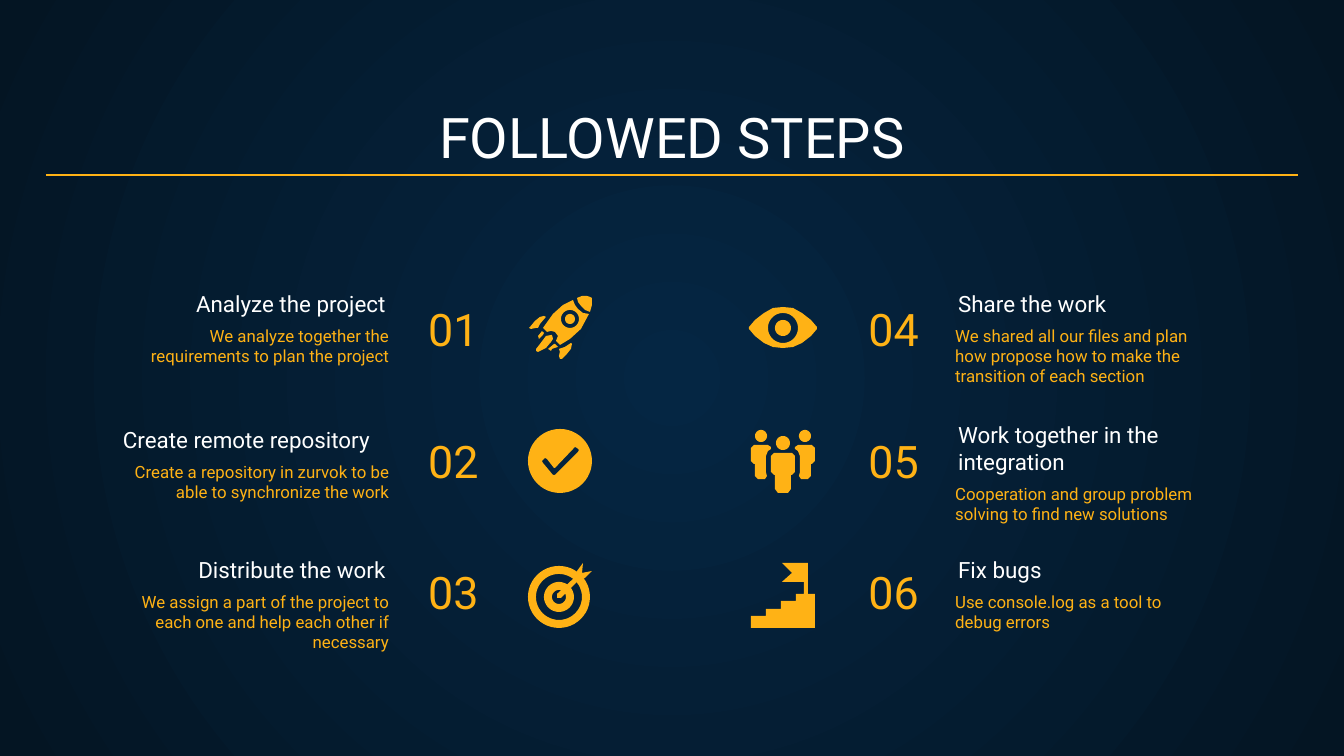
"""Build the "Followed steps" slide: six numbered steps with icons."""
from dataclasses import dataclass
from math import cos, pi, sin
from typing import NamedTuple

from pptx import Presentation
from pptx.dml.color import RGBColor
from pptx.enum.shapes import MSO_CONNECTOR as Connector
from pptx.enum.text import MSO_ANCHOR as Anchor, PP_ALIGN as Align
from pptx.oxml import parse_xml
from pptx.oxml.ns import nsdecls, qn
from pptx.slide import Slide
from pptx.util import Emu, Inches, Pt

EMU_PER_PX = 9144000 / 1344
Points = list[tuple[float, float]]


@dataclass(frozen=True)
class Theme:
    font: str = "Roboto"
    white: RGBColor = RGBColor.from_string("FFFFFF")
    accent: RGBColor = RGBColor.from_string("FFB215")
    center: RGBColor = RGBColor.from_string("052643")
    edge: RGBColor = RGBColor.from_string("041523")
    title: float = 30
    number: float = 24
    heading: float = 12
    body: float = 9
    rule: float = 0.75


class Box(NamedTuple):
    left: int
    top: int
    width: int
    height: int


class Column(NamedTuple):
    number_left: int
    heading_left: int
    body_left: int
    body_width: int
    number_align: Align
    text_align: Align


class Step(NamedTuple):
    column: Column
    row: int
    number: str
    heading: str
    body: str
    body_top: int
    heading_align: Align | None = None


THEME = Theme()
LEFT = Column(415, 94, 106, 296, Align.LEFT, Align.RIGHT)
RIGHT = Column(759, 945, 942, 278, Align.RIGHT, Align.LEFT)
STEPS = [
    Step(LEFT, 0, "01", "Analyze the project",
         "We analyze together the requirements to plan the project", 312),
    Step(LEFT, 1, "02", "Create remote repository",
         "Create a repository in zurvok to be able to synchronize the work", 448, Align.CENTER),
    Step(LEFT, 2, "03", "Distribute the work",
         "We assign a part of the project to each one and help each other if necessary", 578),
    Step(RIGHT, 0, "04", "Share the work",
         "We shared all our files and plan how propose how to make the transition of each section", 312),
    Step(RIGHT, 1, "05", "Work together in the integration",
         "Cooperation and group problem solving to find new solutions", 470),
    Step(RIGHT, 2, "06", "Fix bugs", "Use console.log as a tool to debug errors", 578),
]


def px(value: float) -> Emu:
    """Turn px into EMU."""
    return Emu(round(value * EMU_PER_PX))


def circle(x: int, y: int, radius: int) -> Points:
    """Return the outline of a circle."""
    return [(x + radius * cos(k * pi / 24), y + radius * sin(k * pi / 24)) for k in range(48)]


def mirror(points: Points, axis: int = 783) -> Points:
    """Reflect points across a vertical axis, reversing their order."""
    return [(2 * axis - x, y) for x, y in reversed(points)]


EYE_HALF = [(783, 307), (773, 308), (764, 313), (755, 320), (749, 327),
            (749, 329), (755, 336), (764, 343), (773, 347), (783, 348)]
SIDE_BODY = [(754, 445), (751, 448), (751, 461), (754, 464), (755, 464), (755, 476),
             (758, 479), (765, 479), (767, 476), (766, 472), (766, 456), (768, 451),
             (771, 449), (771, 447), (768, 445)]
FRONT_HALF = [(774, 453), (771, 456), (771, 472), (774, 475), (775, 475),
              (775, 489), (778, 493)]

ROCKET = [
    [[(542, 331), (538, 336), (539, 339), (543, 335), (544, 333)]],
    [[(555, 344), (554, 344), (548, 349), (551, 351), (552, 349), (558, 347)]],
    [[(551, 335), (546, 336), (540, 344), (536, 349), (536, 351), (538, 352),
      (540, 351), (546, 348), (551, 342), (553, 339), (552, 335)]],
    [[(544, 316), (540, 317), (535, 321), (530, 327), (529, 328), (531, 329),
      (536, 328), (538, 328), (540, 324), (546, 317)]],
    [[(571, 343), (565, 347), (559, 349), (560, 352), (559, 356), (560, 359),
      (562, 359), (567, 354), (571, 349), (572, 344)]],
    [[(587, 296), (582, 296), (577, 298), (578, 302), (581, 306), (585, 310),
      (590, 312), (592, 305), (592, 298), (590, 297)]],
    [[(573, 300), (563, 305), (553, 314), (543, 328), (547, 332), (551, 331),
      (555, 332), (558, 336), (556, 341), (560, 345), (570, 339), (581, 329),
      (589, 314), (583, 313), (578, 309), (575, 305)], circle(570, 319, 9)],
    [circle(570, 319, 5)],
]
CHECK = [[circle(560, 461, 32),
          [(575, 447), (577, 448), (579, 450), (578, 452), (555, 475), (553, 475),
           (543, 463), (542, 461), (545, 458), (547, 459), (554, 468), (555, 468)]]]
TARGET = [
    [circle(559, 597, radius) for radius in (31, 23, 15, 7)],
    [[(583, 563), (577, 571), (574, 578), (557, 594), (557, 598), (561, 598),
      (578, 581), (585, 578), (592, 571), (582, 573)]],
]
EYE = [[EYE_HALF + mirror(EYE_HALF), circle(783, 328, 15), circle(783, 328, 8)]]
TEAM = [[outline] for outline in (
    circle(761, 436, 6), SIDE_BODY, circle(805, 436, 6), mirror(SIDE_BODY),
    FRONT_HALF + mirror(FRONT_HALF), circle(783, 443, 7))]
STAIRS = [[[(782, 563), (792, 573), (782, 582), (804, 582), (804, 594), (796, 594),
            (796, 601), (781, 601), (781, 609), (766, 609), (766, 616), (751, 616),
            (751, 628), (815, 628), (815, 594), (808, 594), (808, 563)]]]


def paint_background(slide: Slide) -> None:
    """Fill the slide with a radial gradient."""
    fill = slide.background.fill
    fill.gradient()
    for stop, position, color in zip(fill.gradient_stops, (0, 1), (THEME.center, THEME.edge)):
        stop.position = position
        stop.color.rgb = color
    gradient = slide.element.find(".//" + qn("a:gradFill"))
    linear = gradient.find(qn("a:lin"))
    gradient.replace(linear, parse_xml(
        f'<a:path {nsdecls("a")} path="circle">'
        '<a:fillToRect l="50000" t="50000" r="50000" b="50000"/></a:path>'))


def add_text(slide: Slide, box: Box, text: str, size: float, color: RGBColor,
             align: Align, anchor: Anchor = Anchor.BOTTOM) -> None:
    """Add one paragraph in a wrapped text box."""
    frame = slide.shapes.add_textbox(*map(px, box)).text_frame
    margins = {f"margin_{side}": Inches(0.1) for side in ("left", "top", "right", "bottom")}
    paragraph = frame.paragraphs[0]
    paragraph.text = text
    formats = [
        (frame, {"word_wrap": True, "vertical_anchor": anchor, **margins}),
        (paragraph, {"alignment": align}),
        (paragraph.runs[0].font, {"name": THEME.font, "size": Pt(size)}),
        (paragraph.runs[0].font.color, {"rgb": color}),
    ]
    for target, values in formats:
        for name, value in values.items():
            setattr(target, name, value)


def add_outline(slide: Slide, contours: list[Points]) -> None:
    """Draw a filled outline whose inner contours are holes."""
    outer, *holes = [[(px(x), px(y)) for x, y in contour] for contour in contours]
    builder = slide.shapes.build_freeform(*outer[0])
    builder.add_line_segments(outer[1:], close=True)
    for hole in holes:
        builder.move_to(*hole[0])
        builder.add_line_segments(hole[1:], close=True)
    shape = builder.convert_to_shape()
    shape.shadow.inherit = False
    shape.fill.solid()
    shape.fill.fore_color.rgb = THEME.accent
    shape.line.fill.background()


def add_step(slide: Slide, step: Step) -> None:
    """Write the number, heading and description of a step."""
    column = step.column
    add_text(slide, Box(column.body_left, step.body_top, column.body_width, 74), step.body,
             THEME.body, THEME.accent, column.text_align, Anchor.TOP)
    add_text(slide, Box(column.number_left, 280 + round(step.row * 131.5), 173, 89), step.number,
             THEME.number, THEME.accent, column.number_align)
    add_text(slide, Box(column.heading_left, step.body_top - 10, 305, 28), step.heading,
             THEME.heading, THEME.white, step.heading_align or column.text_align)


def add_rule(slide: Slide) -> None:
    """Draw the line under the title."""
    rule = slide.shapes.add_connector(Connector.STRAIGHT, px(46), px(175), px(1298), px(175))
    rule.line.color.rgb = THEME.accent
    rule.line.width = Pt(THEME.rule)
    rule.element.spPr.append(parse_xml(f'<a:effectLst {nsdecls("a")}/>'))


def main() -> None:
    """Build and save the presentation."""
    presentation = Presentation()
    presentation.slide_width, presentation.slide_height = px(1344), px(756)
    slide = presentation.slides.add_slide(presentation.slide_layouts[6])
    paint_background(slide)
    add_text(slide, Box(46, 94, 1252, 89), "FOLLOWED STEPS", THEME.title, THEME.white, Align.CENTER)
    for step in STEPS:
        add_step(slide, step)
    for icon in (TARGET, ROCKET, CHECK, TEAM, STAIRS, EYE):
        for contours in icon:
            add_outline(slide, contours)
    add_rule(slide)
    presentation.save("out.pptx")


if __name__ == "__main__":
    main()
